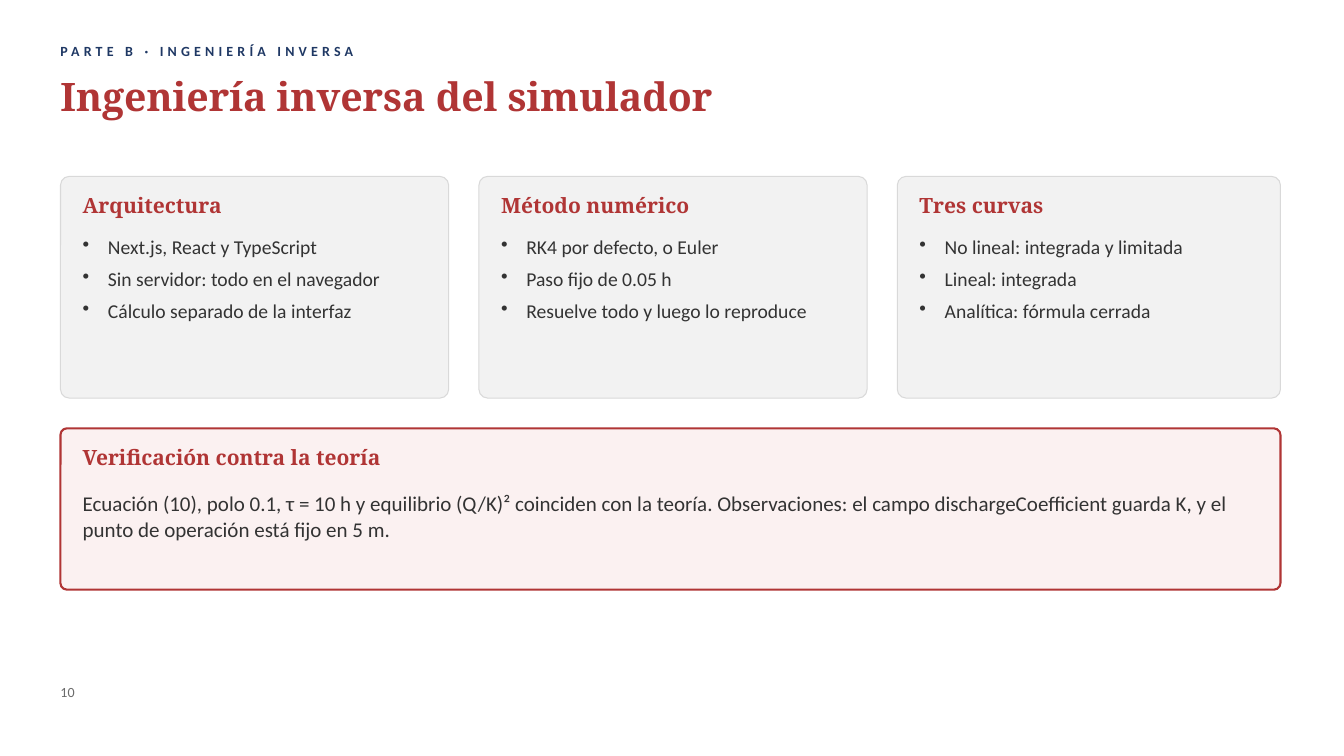
from dataclasses import dataclass

from lxml import etree
from pptx import Presentation
from pptx.dml.color import RGBColor
from pptx.enum.shapes import MSO_SHAPE
from pptx.enum.text import MSO_AUTO_SIZE
from pptx.oxml.ns import qn
from pptx.util import Inches, Pt

ROUNDED = MSO_SHAPE.ROUNDED_RECTANGLE
GROW = MSO_AUTO_SIZE.SHAPE_TO_FIT_TEXT


@dataclass(frozen=True)
class Theme:
    # Fonts
    body: str = "Calibri"
    serif: str = "Noto Serif"
    # Colours
    red: str = "B03535"
    navy: str = "1F3864"
    ink: str = "333333"
    muted: str = "6B6B6B"
    card: str = "F2F2F2"
    card_line: str = "D9D9D9"
    callout: str = "FBF1F1"
    # Type sizes in points
    title: int = 28
    heading: int = 15
    bullet: int = 14
    small: int = 10


T = Theme()

# Layout in inches
LEFT, RIGHT = 0.6, 12.7
PAD_X, PAD_Y = 0.22, 0.16
CARD_TOP, CARD_HEIGHT = 1.75, 2.2
CARD_WIDTH, GAP = 3.85, 0.3

CARDS = [
    ("Arquitectura", ["Next.js, React y TypeScript",
                      "Sin servidor: todo en el navegador",
                      "Cálculo separado de la interfaz"]),
    ("Método numérico", ["RK4 por defecto, o Euler",
                         "Paso fijo de 0.05 h",
                         "Resuelve todo y luego lo reproduce"]),
    ("Tres curvas", ["No lineal: integrada y limitada",
                     "Lineal: integrada",
                     "Analítica: fórmula cerrada"]),
]
CHECK_TEXT = (
    "Ecuación (10), polo 0.1, τ = 10 h y equilibrio (Q/K)² coinciden con la "
    "teoría. Observaciones: el campo dischargeCoefficient guarda K, y el punto "
    "de operación está fijo en 5 m."
)


def add_bullet(p):
    pPr = p._p.get_or_add_pPr()
    pPr.set("marL", str(Inches(0.25)))
    pPr.set("indent", str(-Inches(0.25)))
    etree.SubElement(pPr, qn("a:buChar")).set("char", "•")


def add_text(slide, lines, x, y, w, h, *, size, color=T.ink, font=T.body,
             bold=False, spacing=0, bullets=False):
    """Add a text box with one paragraph per line."""
    box = slide.shapes.add_textbox(Inches(x), Inches(y), Inches(w), Inches(h))
    tf = box.text_frame
    tf.word_wrap = True
    tf.auto_size = GROW
    tf.margin_left = tf.margin_right = tf.margin_top = tf.margin_bottom = 0
    for i, line in enumerate(lines):
        p = tf.add_paragraph() if i else tf.paragraphs[0]
        p.space_after = Pt(6)
        if bullets:
            add_bullet(p)
        r = p.add_run()
        r.text = line
        r.font.name = font
        r.font.size = Pt(size)
        r.font.bold = bold
        r.font.color.rgb = RGBColor.from_string(color)
        if spacing:
            r.font._element.set("spc", str(spacing * 100))


def add_panel(slide, heading, x, y, w, h, *, fill, line, line_width):
    """Add a rounded panel with its heading."""
    sp = slide.shapes.add_shape(ROUNDED, Inches(x), Inches(y), Inches(w), Inches(h))
    sp.adjustments[0] = 0.04
    sp.shadow.inherit = False
    sp.fill.solid()
    sp.fill.fore_color.rgb = RGBColor.from_string(fill)
    sp.line.color.rgb = RGBColor.from_string(line)
    sp.line.width = Pt(line_width)
    add_text(slide, [heading], x + PAD_X, y + PAD_Y, w - 2 * PAD_X, 0.34,
             size=T.heading, color=T.red, font=T.serif, bold=True)


def add_card(slide, heading, items, x, w):
    add_panel(slide, heading, x, CARD_TOP, w, CARD_HEIGHT,
              fill=T.card, line=T.card_line, line_width=0.75)
    add_text(slide, items, x + PAD_X, CARD_TOP + 0.58, w - 2 * PAD_X, 1.5,
             size=T.bullet, bullets=True)


def main():
    prs = Presentation()
    prs.slide_width, prs.slide_height = Inches(13.33), Inches(7.5)
    slide = prs.slides.add_slide(prs.slide_layouts[6])

    # Header and page number
    add_text(slide, ["PARTE B · INGENIERÍA INVERSA"], LEFT, 0.42, 10.5, 0.25,
             size=T.small, color=T.navy, bold=True, spacing=3)
    add_text(slide, ["Ingeniería inversa del simulador"], LEFT, 0.72, 11.6, 0.7,
             size=T.title, color=T.red, font=T.serif, bold=True)
    add_text(slide, ["10"], LEFT, 6.78, 1, 0.25, size=T.small, color=T.muted)

    # Three cards; the last one ends at the right margin
    for i, (heading, items) in enumerate(CARDS):
        x = LEFT + i * (CARD_WIDTH + GAP)
        add_card(slide, heading, items, x, min(CARD_WIDTH, RIGHT - x))

    # Verification callout
    y, w = CARD_TOP + CARD_HEIGHT + GAP, RIGHT - LEFT
    add_panel(slide, "Verificación contra la teoría", LEFT, y, w, 1.6,
              fill=T.callout, line=T.red, line_width=1.5)
    add_text(slide, [CHECK_TEXT], LEFT + PAD_X, y + 0.62, w - 2 * PAD_X, 0.9,
             size=T.heading)

    prs.save("out.pptx")


if __name__ == "__main__":
    main()
